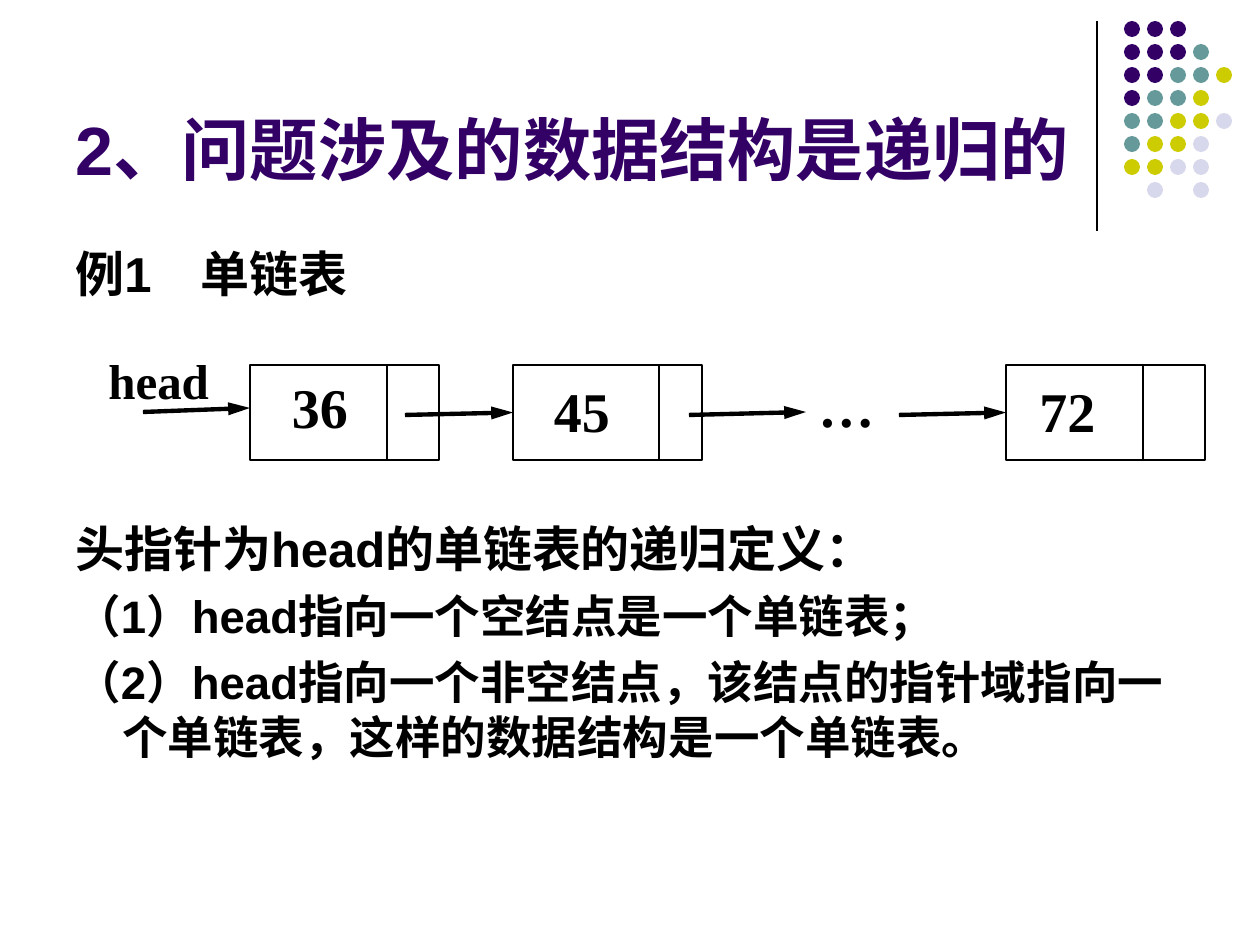
import pptx
import pptx.dml.color
import pptx.enum.shapes
import pptx.enum.text
import pptx.oxml.ns
import pptx.util
from dataclasses import dataclass
from lxml import etree

SCALE = 914400 / 126  # EMU in one px
Shape = pptx.enum.shapes.MSO_SHAPE
Align = pptx.enum.text.PP_ALIGN
Anchor = pptx.enum.text.MSO_ANCHOR


def px(n):
    return pptx.util.Emu(round(n * SCALE))


@dataclass(frozen=True)
class Theme:
    ink: str = "000000"
    plum: str = "330066"
    teal: str = "669999"
    lime: str = "CCCC00"
    pale: str = "D8D8EC"
    sans: str = "Arial"
    serif: str = "Times New Roman"
    title: int = 39
    lead: int = 28
    item: int = 26
    value: int = 32
    thin: float = 0.75
    edge: float = 1
    bold: float = 2.5


class Deck:
    def __init__(self, theme):
        self.theme = theme
        self.file = pptx.Presentation()
        self.file.slide_width, self.file.slide_height = px(1260), px(945)
        self.slide = self.file.slides.add_slide(self.file.slide_layouts[5])
        self.shapes = self.slide.shapes

    def color(self, code):
        return pptx.dml.color.RGBColor.from_string(code)

    def run(self, para, text, size, font, code):
        run = para.add_run()
        run.text = text
        run.font.size = pptx.util.Pt(size)
        run.font.name = font
        run.font.bold = True
        run.font.color.rgb = self.color(code)

    def title(self, text, x, y, w, h):
        box = self.shapes.title
        box.left, box.top, box.width, box.height = map(px, (x, y, w, h))
        frame = box.text_frame
        frame.auto_size = pptx.enum.text.MSO_AUTO_SIZE.NONE
        frame.vertical_anchor = Anchor.BOTTOM
        para = frame.paragraphs[0]
        para.alignment = Align.LEFT
        self.run(para, text, self.theme.title, self.theme.sans, self.theme.plum)

    def frame(self, x, y, w, h):
        frame = self.shapes.add_textbox(px(x), px(y), px(w), px(h)).text_frame
        frame.word_wrap = True
        return frame

    def body(self, rows, x, y, w, h, hang):
        frame = self.frame(x, y, w, h)
        for i, (text, size, gap) in enumerate(rows):
            para = frame.add_paragraph() if i else frame.paragraphs[0]
            props = para._p.get_or_add_pPr()
            props.set("marL", str(px(hang)))
            props.set("indent", str(-px(hang)))
            if gap:
                para.space_before = pptx.util.Pt(gap)
            self.run(para, text, size, self.theme.sans, self.theme.ink)

    def label(self, text, size, x, y, w, h):
        para = self.frame(x, y, w, h).paragraphs[0]
        self.run(para, text, size, self.theme.serif, self.theme.ink)

    def value(self, text, x, y, w, h, pitch):
        frame = self.frame(x, y, w, h)
        frame.margin_left = frame.margin_right = 0
        frame.margin_top = frame.margin_bottom = 0
        para = frame.paragraphs[0]
        para.alignment = Align.CENTER
        para.line_spacing = pitch
        self.run(para, text, self.theme.value, self.theme.serif, self.theme.ink)

    def dot(self, x, y, size, code):
        dot = self.shapes.add_shape(Shape.OVAL, px(x), px(y), px(size), px(size))
        dot.shadow.inherit = False
        dot.fill.solid()
        dot.fill.fore_color.rgb = self.color(code)
        dot.line.fill.background()

    def rect(self, x, y, w, h):
        rect = self.shapes.add_shape(Shape.RECTANGLE, px(x), px(y), px(w), px(h))
        rect.shadow.inherit = False
        rect.fill.background()
        rect.line.color.rgb = self.color(self.theme.ink)
        rect.line.width = pptx.util.Pt(self.theme.edge)
        return rect

    def line(self, x1, y1, x2, y2, width):
        line = self.shapes.add_connector(
            pptx.enum.shapes.MSO_CONNECTOR.STRAIGHT, px(x1), px(y1), px(x2), px(y2))
        line.line.color.rgb = self.color(self.theme.ink)
        line.line.width = pptx.util.Pt(width)
        etree.SubElement(line._element.spPr, pptx.oxml.ns.qn("a:effectLst"))
        return line

    def arrow(self, x1, y1, x2, y2, goal=None):
        line = self.line(x1, y1, x2, y2, self.theme.bold)
        etree.SubElement(line.line._get_or_add_ln(), pptx.oxml.ns.qn("a:tailEnd"),
                         type="triangle", w="med", len="lg")
        if goal is not None:
            line.end_connect(goal, 1)


def main():
    theme = Theme()
    deck = Deck(theme)

    # Corner rule and dot grid
    deck.line(1097, 21, 1097, 231, theme.thin)
    codes = {"P": theme.plum, "T": theme.teal, "Y": theme.lime, "L": theme.pale}
    grid = ("PPP", "PPPT", "PPTTY", "PTTY", "TTYYL", "TYYL", "YYLL", ".L.L")
    for r, row in enumerate(grid):
        for c, key in enumerate(row):
            if key in codes:
                deck.dot(1124 + 23 * c, 21 + 23 * r, 16, codes[key])

    # Title and body, with room left for the list
    deck.title("2、问题涉及的数据结构是递归的", 63, 16, 1040, 179)
    deck.body([
        ("例1　单链表", theme.lead, 0),
        ("头指针为head的单链表的递归定义：", theme.lead, 123.5),
        ("（1）head指向一个空结点是一个单链表；", theme.item, 6.5),
        ("（2）head指向一个非空结点，该结点的指针域指向一个单链表，"
         "这样的数据结构是一个单链表。", theme.item, 6.5),
    ], 63, 237, 1134, 607, 47)

    # List nodes: left, width, divider, then the value and its box
    top, high = 365, 95
    nodes = {}
    for x, w, split, text, box, pitch in (
        (250, 189, 387, "36", (265, 373, 110, 67), 1.0),
        (513, 189, 659, "45", (533, 389, 98, 54), 0.8),
        (1006, 199, 1143, "72", (1017, 389, 101, 54), 0.8),
    ):
        nodes[text] = deck.rect(x, top, w, high)
        deck.line(split, top, split, top + high, theme.edge)
        deck.value(text, *box, pitch)

    # Labels and pointers
    deck.label("head", theme.lead, 96, 344, 129, 72)
    deck.label("…", theme.value, 806, 365, 95, 81)
    deck.arrow(143, 412, 250, 408)
    deck.arrow(405, 415, 513, 412, nodes["45"])
    deck.arrow(689, 415, 806, 412)
    deck.arrow(899, 415, 1006, 412, nodes["72"])

    deck.file.save("out.pptx")


if __name__ == "__main__":
    main()
